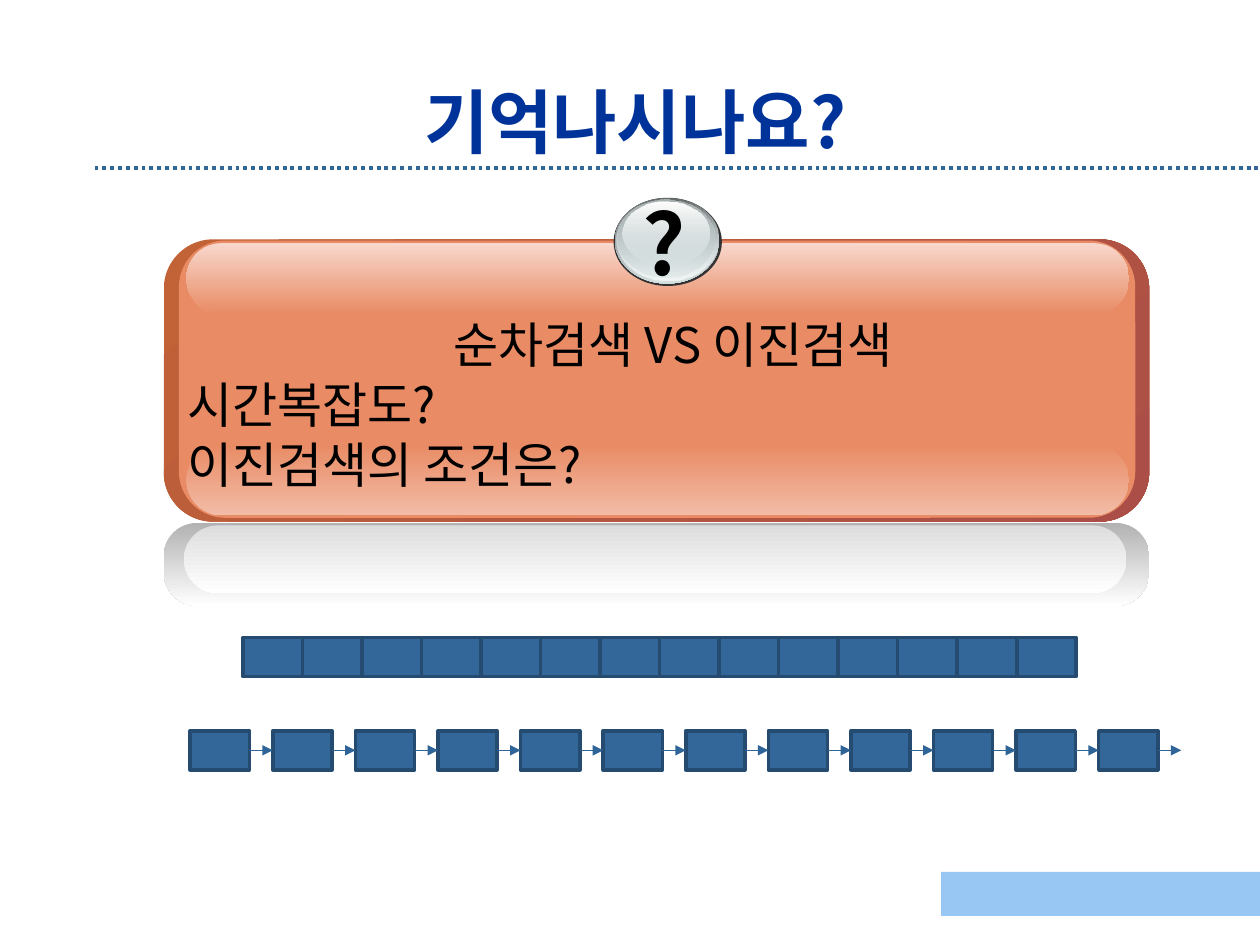
from lxml.etree import SubElement
from pptx import Presentation
from pptx.dml.color import RGBColor
from pptx.enum.dml import MSO_LINE
from pptx.enum.shapes import MSO_CONNECTOR, MSO_SHAPE
from pptx.enum.text import MSO_ANCHOR, PP_ALIGN
from pptx.oxml.ns import qn
from pptx.util import Inches, Pt

FONT = "Noto Sans CJK KR"
BLACK = RGBColor(0x00, 0x00, 0x00)
WHITE = RGBColor(0xFF, 0xFF, 0xFF)
NAVY = RGBColor(0x00, 0x33, 0x99)
BLUE = RGBColor(0x33, 0x66, 0x99)
EDGE = RGBColor(0x26, 0x4B, 0x71)
ARROW = RGBColor(0x2F, 0x64, 0x98)
SKY = RGBColor(0x99, 0xC7, 0xF3)
RUST = RGBColor(0xC1, 0x62, 0x37)
BRICK = RGBColor(0xAB, 0x4E, 0x47)
ORANGE = RGBColor(0xE9, 0x8B, 0x65)
PEACH = RGBColor(0xF2, 0xBC, 0xA6)
CREAM = RGBColor(0xF8, 0xD8, 0xCC)
DARK = RGBColor(0x33, 0x33, 0x33)
SLATE = RGBColor(0x63, 0x68, 0x69)
STEEL = RGBColor(0xAA, 0xB2, 0xB3)
SILVER = RGBColor(0xD6, 0xE1, 0xE2)
MIST = RGBColor(0xF1, 0xF5, 0xF5)
GRAY = RGBColor(0xB2, 0xB2, 0xB2)
PALE = RGBColor(0xDD, 0xDD, 0xDD)

RECT, ROUND, OVAL = MSO_SHAPE.RECTANGLE, MSO_SHAPE.ROUNDED_RECTANGLE, MSO_SHAPE.OVAL
CELL_W, CELL_H = 0.47, 0.31


def add_shape(slide, kind, box, color, radius=None):
    shape = slide.shapes.add_shape(kind, *map(Inches, box))
    shape.shadow.inherit = False
    shape.line.fill.background()
    if color is not None:
        shape.fill.solid()
        shape.fill.fore_color.rgb = color
    if radius is not None:
        shape.adjustments[0] = radius
    return shape


def add_shade(slide, kind, box, colors, radius=None, angle=90, alphas=(100, 100)):
    shape = add_shape(slide, kind, box, None, radius)
    shape.fill.gradient()
    shape.fill.gradient_angle = 360 - angle
    for stop, color, alpha in zip(shape.fill.gradient_stops, colors, alphas):
        stop.color.rgb = color
    for node, alpha in zip(shape.element.spPr.iter(qn("a:srgbClr")), alphas):
        if alpha < 100:
            SubElement(node, qn("a:alpha")).set("val", str(alpha * 1000))


def add_text(slide, box, lines, size, color=BLACK, bold=False, wrap=True,
             align=PP_ALIGN.LEFT, anchor=MSO_ANCHOR.TOP, pitch=None, top=0.05):
    frame = slide.shapes.add_textbox(*map(Inches, box)).text_frame
    frame.word_wrap = wrap
    frame.vertical_anchor = anchor
    frame.margin_top = Inches(top)
    for i, (text, indent) in enumerate(lines):
        para = frame.paragraphs[0] if i == 0 else frame.add_paragraph()
        para.alignment = align
        if indent:
            para._p.get_or_add_pPr().set("marL", str(Inches(indent)))
        if pitch:
            para.line_spacing = Pt(pitch)
        run = para.add_run()
        run.text = text
        font = run.font
        font.name, font.size, font.bold = FONT, Pt(size), bold
        font.color.rgb = color
        SubElement(run._r.get_or_add_rPr(), qn("a:ea")).set("typeface", FONT)


def add_line(slide, start, end, color, width):
    ends = map(Inches, (*start, *end))
    line = slide.shapes.add_connector(MSO_CONNECTOR.STRAIGHT, *ends)
    line.line.color.rgb = color
    line.line.width = Pt(width)
    SubElement(line.element.spPr, qn("a:effectLst"))
    return line


def add_cells(slide, count, first, last, top):
    step = (last - first) / (count - 1)
    cells = []
    for i in range(count):
        box = (first + i * step, top, CELL_W, CELL_H)
        cell = add_shape(slide, RECT, box, BLUE)
        cell.line.color.rgb = EDGE
        cell.line.width = Pt(2)
        cells.append(cell)
    return cells


def add_links(slide, cells, first, last, top):
    step = (last - first) / (len(cells) - 1)
    mid = top + CELL_H / 2
    for i, cell in enumerate(cells):
        left = first + i * step
        link = add_line(slide, (left + CELL_W, mid), (left + step, mid), ARROW, 0.75)
        link.begin_connect(cell, 3)
        if i + 1 < len(cells):
            link.end_connect(cells[i + 1], 1)
        tail = SubElement(link.line._get_or_add_ln(), qn("a:tailEnd"))
        tail.set("type", "triangle")


def add_panel(slide):
    add_shade(slide, ROUND, (1.3, 1.9, 7.82, 2.24), (RUST, BRICK), 0.175, 45)
    add_shape(slide, ROUND, (1.42, 1.91, 7.59, 2.2), ORANGE, 0.167)
    add_shade(slide, ROUND, (1.48, 3.53, 7.48, 0.56), (ORANGE, PEACH), 0.5)
    add_shade(slide, ROUND, (1.48, 1.93, 7.48, 0.56), (CREAM, ORANGE), 0.5)
    lines = [("순차검색 VS 이진검색", 2.2), ("시간복잡도?", 0.09), ("이진검색의 조건은?", 0.09)]
    add_text(slide, (1.3, 2.36, 7.48, 1.47), lines, 28, pitch=34.2, top=0.13)
    add_shade(slide, ROUND, (1.3, 4.15, 7.82, 0.66), (GRAY, WHITE), 0.404)
    add_shade(slide, ROUND, (1.46, 4.17, 7.48, 0.54), (PALE, WHITE), 0.5)


def add_badge(slide):
    add_shape(slide, OVAL, (4.87, 1.57, 0.86, 0.7), DARK)
    layers = [
        ((4.88, 1.57, 0.83, 0.68), (SLATE, SILVER), (100, 100)),
        ((4.89, 1.57, 0.81, 0.66), (SILVER, MIST), (0, 100)),
        ((4.9, 1.58, 0.77, 0.62), (STEEL, SILVER), (100, 48)),
        ((4.94, 1.6, 0.69, 0.5), (WHITE, SILVER), (100, 38)),
    ]
    for box, colors, alphas in layers:
        add_shade(slide, OVAL, box, colors, alphas=alphas)
    add_text(slide, (5, 1.47, 0.58, 0.91), [("?", 0)], 48, bold=True, wrap=False)


def main():
    deck = Presentation()
    deck.slide_width, deck.slide_height = Inches(10), Inches(7.5)
    slide = deck.slides.add_slide(deck.slide_layouts[6])
    rule = add_line(slide, (0.75, 1.33), (10, 1.33), BLUE, 2.25)
    rule.line.dash_style = MSO_LINE.ROUND_DOT
    add_shape(slide, RECT, (7.47, 6.92, 2.53, 0.35), SKY)
    add_text(slide, (0.75, 0.67, 8.58, 0.58), [("기억나시나요?", 0)], 40, NAVY, True,
             align=PP_ALIGN.CENTER, anchor=MSO_ANCHOR.MIDDLE)
    add_panel(slide)
    add_badge(slide)
    add_cells(slide, 14, 1.93, 8.07, 5.06)
    nodes = add_cells(slide, 12, 1.51, 8.72, 5.8)
    add_links(slide, nodes, 1.51, 8.72, 5.8)
    deck.save("out.pptx")


if __name__ == "__main__":
    main()
